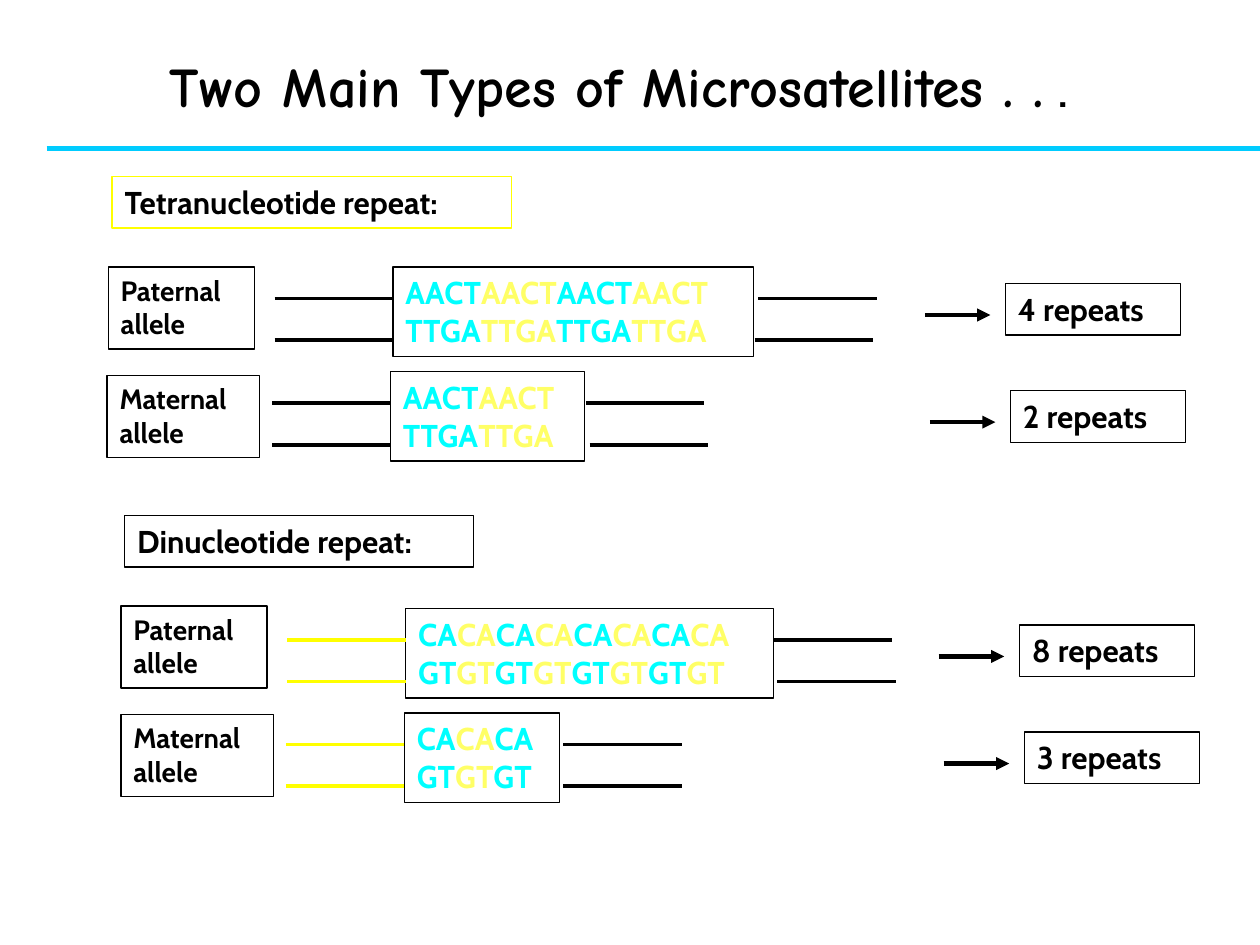
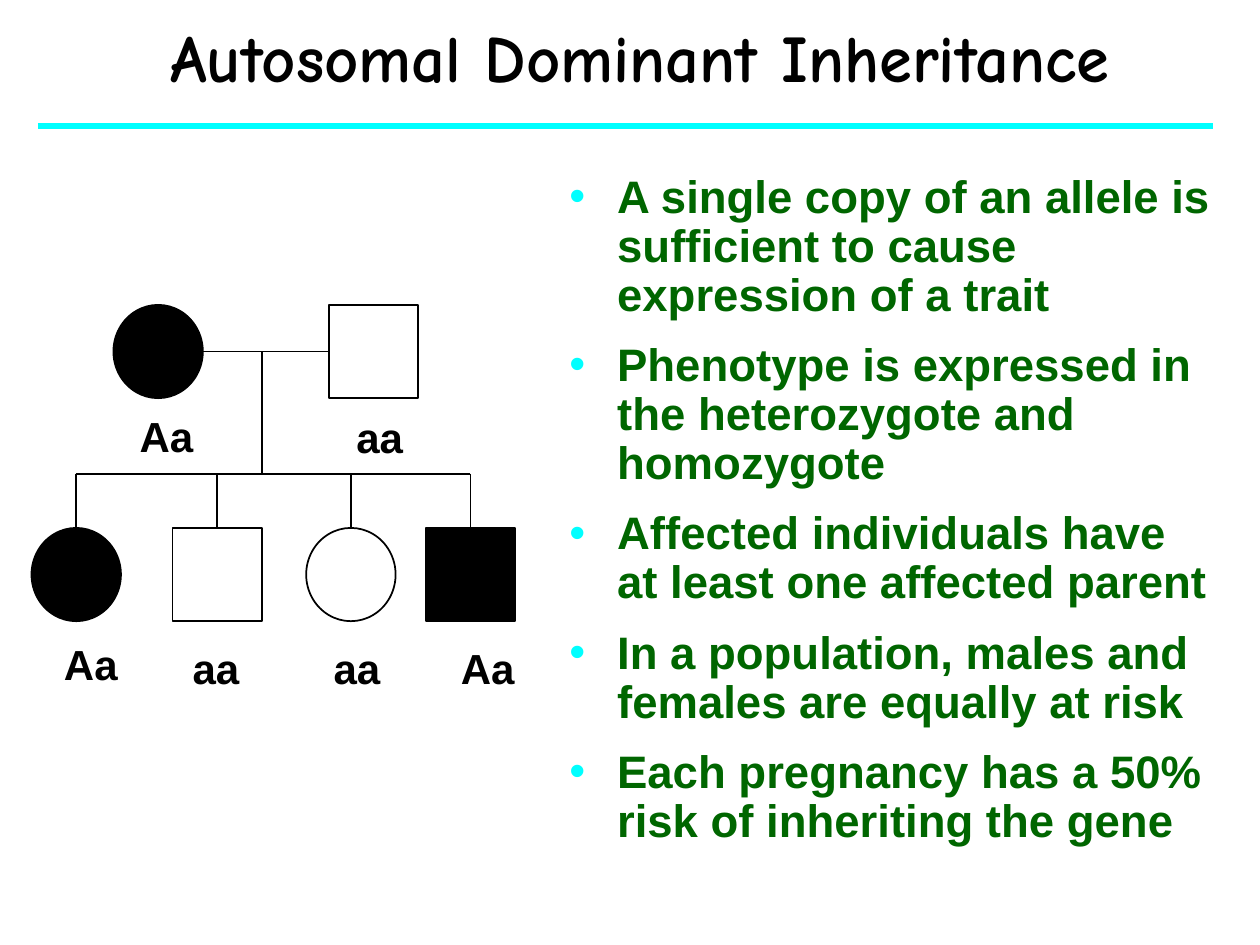
import dataclasses

import lxml.etree
import pptx
import pptx.dml.color
import pptx.enum.shapes
import pptx.enum.text
import pptx.oxml.ns
import pptx.util

Inches = pptx.util.Inches
Pt = pptx.util.Pt
RGBColor = pptx.dml.color.RGBColor
Shapes = pptx.enum.shapes.MSO_SHAPE


@dataclasses.dataclass(frozen=True)
class Theme:
    black: str = "000000"
    cyan: str = "00FFFF"
    sky: str = "00CCFF"
    yellow: str = "FFFF00"
    pale_yellow: str = "FFFF66"
    green: str = "006600"
    title_font: str = "Comic Neue"
    label_font: str = "Cabin"
    body_font: str = "Arial"
    small_title_size: float = 32
    large_title_size: float = 38
    label_size: float = 16
    box_size: float = 18
    genotype_size: float = 24
    bullet_size: float = 26
    box_line: float = 0.75
    pedigree_line: float = 1
    strand_line: float = 2
    arrow_line: float = 2.5
    rule_line: float = 3


THEME = Theme()


@dataclasses.dataclass(frozen=True)
class Allele:
    """One allele row; each box is given as left, top and, where it varies, width."""
    parent: str
    label_box: tuple
    unit: str
    repeats: int
    repeat_box: tuple
    right_strands: tuple
    count_box: tuple
    left_color: str


ALLELES = (
    Allele("Paternal", (0.86, 2.12, 1.16), "AACT", 4, (3.12, 2.12, 2.86),
           (6.02, 5.99), (7.98, 2.25), THEME.black),
    Allele("Maternal", (0.85, 2.98, 1.21), "AACT", 2, (3.1, 2.95, 1.54),
           (4.65, 4.68), (8.02, 3.1), THEME.black),
    Allele("Paternal", (0.96, 4.81, 1.16), "CA", 8, (3.22, 4.83, 2.92),
           (6.14, 6.17), (8.09, 4.96), THEME.yellow),
    Allele("Maternal", (0.96, 5.67, 1.21), "CA", 3, (3.21, 5.66, 1.23),
           (4.47, 4.47), (8.13, 5.81), THEME.yellow),
)
COMPLEMENT = str.maketrans("ACGT", "TGCA")

BULLETS = (
    "A single copy of an allele is sufficient to cause expression of a trait",
    "Phenotype is expressed in the heterozygote and homozygote",
    "Affected individuals have at least one affected parent",
    "In a population, males and females are equally at risk",
    "Each pregnancy has a 50% risk of inheriting the gene",
)


def format_run(run, font, size, color, bold=True):
    run.font.name = font
    run.font.size = Pt(size)
    run.font.bold = bold
    run.font.color.rgb = RGBColor.from_string(color)


def add_colored_run(paragraph, text, font, size, color, bold=True):
    run = paragraph.add_run()
    run.text = text
    format_run(run, font, size, color, bold)


def set_text(text_frame, text, font, size, color):
    text_frame.text = text
    for paragraph in text_frame.paragraphs:
        for run in paragraph.runs:
            format_run(run, font, size, color)


def draw_line(slide, start, end, color, width, arrow=False):
    line = slide.shapes.add_connector(
        pptx.enum.shapes.MSO_CONNECTOR.STRAIGHT,
        *(Inches(value) for value in (*start, *end)))
    line.line.color.rgb = RGBColor.from_string(color)
    line.line.width = Pt(width)
    properties = line._element.spPr
    if arrow:
        lxml.etree.SubElement(properties.find(pptx.oxml.ns.qn("a:ln")),
                              pptx.oxml.ns.qn("a:tailEnd"), type="triangle")
    lxml.etree.SubElement(properties, pptx.oxml.ns.qn("a:effectLst"))
    return line


def add_outlined_shape(slide, kind, box, width, line_color=THEME.black, fill=None):
    shape = slide.shapes.add_shape(kind, *(Inches(value) for value in box))
    shape.shadow.inherit = False
    shape.line.color.rgb = RGBColor.from_string(line_color)
    shape.line.width = Pt(width)
    if fill:
        shape.fill.solid()
        shape.fill.fore_color.rgb = RGBColor.from_string(fill)
    else:
        shape.fill.background()
    return shape


def add_text_frame_box(slide, box, line_color=THEME.black):
    """Add an outlined rectangle and return its top-anchored text frame."""
    shape = add_outlined_shape(slide, Shapes.RECTANGLE, box, THEME.box_line, line_color)
    text_frame = shape.text_frame
    text_frame.word_wrap = True
    text_frame.vertical_anchor = pptx.enum.text.MSO_ANCHOR.TOP
    return text_frame


def add_label_box(slide, box, text, size=THEME.box_size, line_color=THEME.black):
    text_frame = add_text_frame_box(slide, box, line_color)
    set_text(text_frame, text, THEME.label_font, size, THEME.black)
    for paragraph in text_frame.paragraphs:
        paragraph.alignment = pptx.enum.text.PP_ALIGN.LEFT


def add_titled_slide(presentation, title, box, size, rule_start, rule_end, rule_color):
    """Add a title-only slide with a coloured rule under its title."""
    slide = presentation.slides.add_slide(presentation.slide_layouts[5])
    placeholder = slide.shapes.title
    placeholder.left, placeholder.top, placeholder.width, placeholder.height = (
        Inches(value) for value in box)
    text_frame = placeholder.text_frame
    set_text(text_frame, title, THEME.title_font, size, THEME.black)
    text_frame.auto_size = pptx.enum.text.MSO_AUTO_SIZE.NONE
    text_frame.vertical_anchor = pptx.enum.text.MSO_ANCHOR.MIDDLE
    text_frame.paragraphs[0].alignment = pptx.enum.text.PP_ALIGN.CENTER
    draw_line(slide, rule_start, rule_end, rule_color, THEME.rule_line)
    return slide


def add_repeat_box(slide, box, unit, repeats):
    """Show both strands, with the repeat units in alternating colours."""
    text_frame = add_text_frame_box(slide, box)
    strands = (text_frame.paragraphs[0], text_frame.add_paragraph())
    for paragraph, letters in zip(strands, (unit, unit.translate(COMPLEMENT))):
        paragraph.alignment = pptx.enum.text.PP_ALIGN.LEFT
        for index in range(repeats):
            color = THEME.pale_yellow if index % 2 else THEME.cyan
            add_colored_run(paragraph, letters, THEME.label_font, THEME.box_size, color)


def add_allele(slide, allele):
    strand_length = 0.94
    left, top, width = allele.repeat_box
    add_label_box(slide, (*allele.label_box, 0.65), f"{allele.parent}\nallele",
                  THEME.label_size)
    add_repeat_box(slide, (left, top, width, 0.71), allele.unit, allele.repeats)
    for right, offset in zip(allele.right_strands, (0.25, 0.58)):
        strand_y = top + offset
        for start, color in ((left - strand_length, allele.left_color),
                             (right, THEME.black)):
            draw_line(slide, (start, strand_y), (start + strand_length, strand_y),
                      color, THEME.strand_line)

    count_left, count_top = allele.count_box
    arrow_y = count_top + 0.25
    draw_line(slide, (count_left - 0.64, arrow_y), (count_left - 0.12, arrow_y),
              THEME.black, THEME.arrow_line, arrow=True)
    add_label_box(slide, (count_left, count_top, 1.39, 0.41),
                  f"{allele.repeats} repeats")


def build_microsatellites(presentation):
    slide = add_titled_slide(presentation, "Two Main Types of Microsatellites . .",
                             (0.25, 0.36, 9.33, 0.63), THEME.small_title_size,
                             (0.37, 1.18), (10, 1.18), THEME.sky)
    add_colored_run(slide.shapes.title.text_frame.paragraphs[0], " .", THEME.label_font,
                    THEME.small_title_size, THEME.black, bold=False)
    add_label_box(slide, (0.89, 1.4, 3.17, 0.41), "Tetranucleotide repeat:",
                  line_color=THEME.yellow)
    add_label_box(slide, (0.99, 4.09, 2.77, 0.41), "Dinucleotide repeat:")
    for allele in ALLELES:
        add_allele(slide, allele)


def add_genotype(slide, left, top, genotype):
    text_box = slide.shapes.add_textbox(Inches(left), Inches(top), Inches(0.7), Inches(0.5))
    text_box.text_frame.word_wrap = True
    set_text(text_box.text_frame, genotype, THEME.body_font, THEME.genotype_size,
             THEME.black)


def add_person(slide, kind, left, top, genotype, label_position):
    """Add a pedigree symbol, filled when the genotype carries the dominant allele."""
    fill = THEME.black if "A" in genotype else None
    person = add_outlined_shape(slide, kind, (left, top, 0.71, 0.74),
                                THEME.pedigree_line, fill=fill)
    add_genotype(slide, *label_position, genotype)
    return person


def add_pedigree(slide):
    def branch(start, end):
        return draw_line(slide, start, end, THEME.black, THEME.pedigree_line)

    parents_top, siblings_y, children_top = 2.42, 3.76, 4.19
    parents_y = parents_top + 0.37
    add_person(slide, Shapes.OVAL, 0.9, parents_top, "Aa", (1.01, 3.21))
    father = add_person(slide, Shapes.RECTANGLE, 2.61, parents_top, "aa", (2.73, 3.22))
    branch((1.61, parents_y), (2.61, parents_y)).end_connect(father, 1)
    branch((2.08, parents_y), (2.08, siblings_y))
    branch((0.6, siblings_y), (3.73, siblings_y))
    children = (
        (Shapes.OVAL, 0.25, "Aa", (0.41, 5.02)),
        (Shapes.RECTANGLE, 1.37, "aa", (1.43, 5.05)),
        (Shapes.OVAL, 2.43, "aa", (2.55, 5.05)),
        (Shapes.RECTANGLE, 3.38, "Aa", (3.56, 5.05)),
    )
    for kind, left, genotype, label_position in children:
        child = add_person(slide, kind, left, children_top, genotype, label_position)
        center = left + 0.71 / 2
        branch((center, siblings_y), (center, children_top)).end_connect(child, 0)


def add_bullet(paragraph, color):
    properties = paragraph._p.get_or_add_pPr()
    indent = Inches(0.38)
    properties.set("marL", str(indent))
    properties.set("indent", str(-indent))
    bullet_color = lxml.etree.SubElement(properties, pptx.oxml.ns.qn("a:buClr"))
    lxml.etree.SubElement(bullet_color, pptx.oxml.ns.qn("a:srgbClr"), val=color)
    lxml.etree.SubElement(properties, pptx.oxml.ns.qn("a:buFont"), typeface=THEME.body_font)
    lxml.etree.SubElement(properties, pptx.oxml.ns.qn("a:buChar"), char="•")


def add_bullet_list(slide, box, items):
    text_box = slide.shapes.add_textbox(*(Inches(value) for value in box))
    text_frame = text_box.text_frame
    text_frame.word_wrap = True
    set_text(text_frame, "\n".join(items), THEME.body_font, THEME.bullet_size, THEME.green)
    for index, paragraph in enumerate(text_frame.paragraphs):
        add_bullet(paragraph, THEME.cyan)
        paragraph.line_spacing = 0.9
        paragraph.space_before = Pt(6 if index else 0)
        paragraph.space_after = Pt(6)


def build_inheritance(presentation):
    slide = add_titled_slide(presentation, "Autosomal Dominant Inheritance",
                             (0.6, -0.18, 8.96, 1.25), THEME.large_title_size,
                             (0.3, 1), (9.63, 1), THEME.cyan)
    add_bullet_list(slide, (4.42, 1.33, 5.33, 5.75), BULLETS)
    add_pedigree(slide)


def main():
    presentation = pptx.Presentation()
    presentation.slide_width = Inches(10)
    presentation.slide_height = Inches(7.5)
    build_microsatellites(presentation)
    build_inheritance(presentation)
    presentation.save("out.pptx")


if __name__ == "__main__":
    main()
